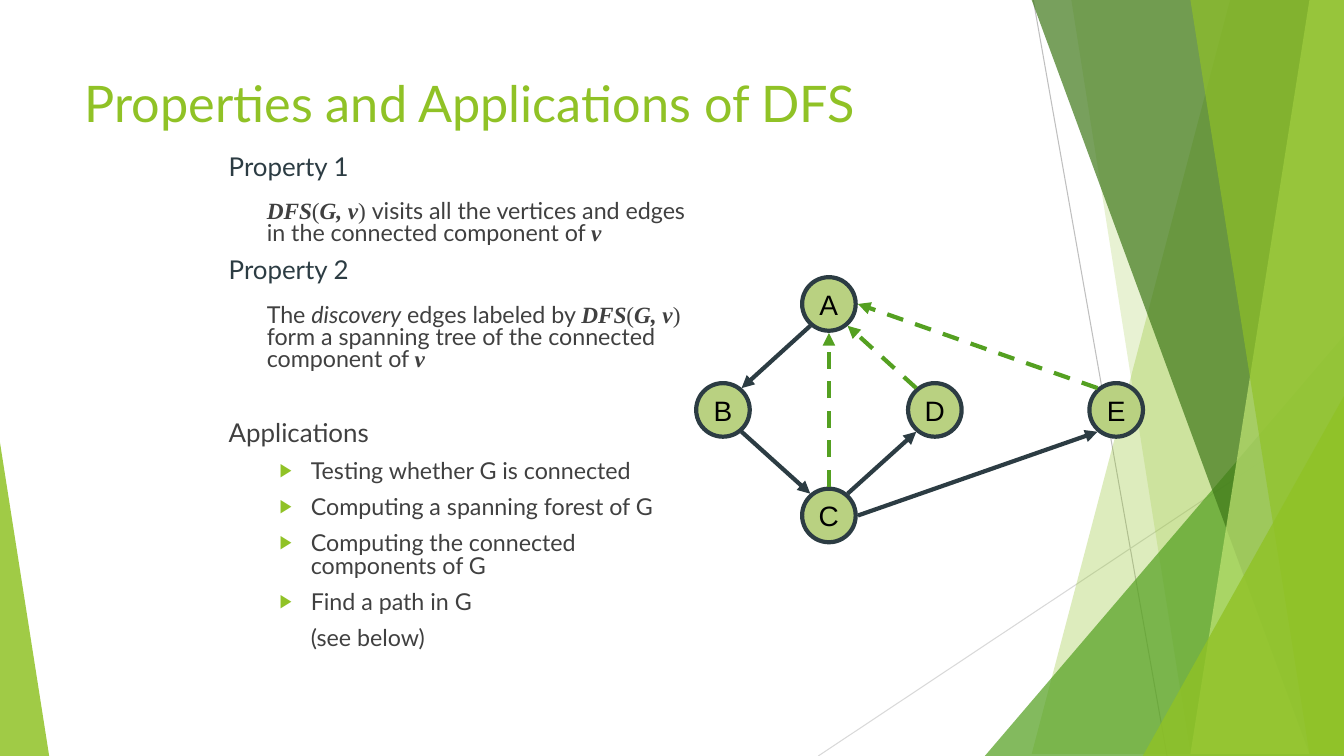
from dataclasses import dataclass

from lxml.etree import SubElement as Sub
from pptx import Presentation
from pptx.dml.color import RGBColor
from pptx.enum.dml import MSO_LINE_DASH_STYLE as Dash
from pptx.enum.shapes import MSO_CONNECTOR as Link, MSO_SHAPE as Form
from pptx.enum.text import MSO_ANCHOR as Anchor, MSO_AUTO_SIZE as Auto, PP_ALIGN as Align
from pptx.oxml.ns import qn
from pptx.util import Cm, Pt

WIDE, HIGH = 33.87, 19.05
LIME, GREEN, SLATE, GREY = "90C226", "54A021", "2C3C43", "404040"
NODE, REACH = 1.35, 0.73
SKEW = (0.47, 0.55)


@dataclass
class Facet:
    top: float
    foot: float
    tint: str
    alpha: int


@dataclass
class Wedge:
    left: float
    top: float
    width: float
    peak: int
    tint: str
    alpha: int


@dataclass
class Edge:
    start: str
    out: tuple[int, int]
    end: str
    into: tuple[int, int]
    back: bool = False


@dataclass
class Line:
    runs: list
    size: float = 16.6
    tint: str = GREY
    left: float = 0
    hang: float = 0
    before: float = 10
    mark: str = ""
    level: int = 0


DECOR = [
    Facet(31.19, 25.5, LIME, 30),
    Facet(26.67, 30.05, LIME, 20),
    Wedge(24.82, 8.46, WIDE - 24.82, 1, GREEN, 72),
    Facet(25.93, 32.79, "3F7819", 70),
    Facet(33.1, 30.28, "C0E474", 70),
    Facet(30.38, 33.48, LIME, 65),
    Wedge(28.8, 9.98, WIDE - 28.8, 1, LIME, 80),
    Wedge(0, 11.15, 1.24, 0, LIME, 85),
]

NODES = {"D": (23.56, 10.33), "B": (18.22, 10.33), "A": (20.89, 7.66),
         "C": (20.89, 12.99), "E": (28.13, 10.33)}
EDGES = [
    Edge("A", (-1, 1), "B", (1, -1)),
    Edge("B", (1, 1), "C", (-1, -1)),
    Edge("C", (1, -1), "D", (-1, 1)),
    Edge("D", (-1, -1), "A", (1, 1), True),
    Edge("C", (0, -1), "A", (0, 1), True),
    Edge("C", (1, 0), "E", (-1, 1)),
    Edge("E", (-1, -1), "A", (1, 0), True),
]

MATH = {"font": "Times New Roman", "bold": True, "italic": True}
PLAIN = {"font": "Times New Roman"}
CALL = [("DFS", MATH), ("(", PLAIN), ("G, v", MATH), (") ", PLAIN)]


def head(text: str, tint: str = SLATE, before: float = 10) -> Line:
    return Line([(text, {})], 18.5, tint, before=before)


def claim(runs: list) -> Line:
    return Line(runs, left=0.96, before=14.5)


def item(text: str, mark: str = "▶") -> Line:
    return Line([(text, {})], left=2.07, hang=-0.79 if mark else 0, mark=mark, level=1)


LINES = [
    head("Property 1", before=0),
    claim(CALL + [("visits all the vertices and edges in the connected component of ", {}),
                  ("v", MATH)]),
    head("Property 2"),
    claim([("The ", {}), ("discovery", {"italic": True}), (" edges labeled by ", {})] + CALL
          + [("form a spanning tree of the connected component of ", {}), ("v", MATH)]),
    head("Applications", GREY, 36),
    item("Testing whether G is connected"),
    item("Computing a spanning forest of G"),
    item("Computing the connected components of G"),
    item("Find a path in G"),
    item("(see below)", ""),
]


def hue(code: str) -> RGBColor:
    return RGBColor.from_string(code)


def write(para, text: str, font: str = "Lato", size: float = 18, tint: str = GREY,
          bold: bool = False, italic: bool = False) -> None:
    run = para.add_run()
    run.text = text
    face = run.font
    face.name, face.size, face.bold, face.italic = font, Pt(size), bold, italic
    face.color.rgb = hue(tint)


def place(shape, left: float, top: float, width: float, height: float) -> None:
    shape.left, shape.top, shape.width, shape.height = map(Cm, (left, top, width, height))
    frame = shape.text_frame
    frame.word_wrap, frame.auto_size = True, Auto.NONE
    frame.vertical_anchor = Anchor.TOP


def bullet(para, mark: str) -> None:
    props = para._p.get_or_add_pPr()
    if not mark:
        Sub(props, qn("a:buNone"))
        return
    Sub(Sub(props, qn("a:buClr")), qn("a:srgbClr"), val=LIME)
    Sub(props, qn("a:buSzPct"), val="80000")
    Sub(props, qn("a:buChar"), char=mark)


def fill(shape, tint: str, alpha: int = 100) -> None:
    shape.shadow.inherit = False
    shape.fill.solid()
    shape.fill.fore_color.rgb = hue(tint)
    if alpha < 100:
        color = next(shape._element.spPr.iter(qn("a:srgbClr")))
        Sub(color, qn("a:alpha"), val=str(alpha * 1000))


def adorn(shapes, part: Facet | Wedge) -> None:
    if isinstance(part, Facet):
        pen = shapes.build_freeform(part.top, 0, Cm(1))
        pen.add_line_segments([(WIDE, 0), (WIDE, HIGH), (part.foot, HIGH)])
        shape = pen.convert_to_shape()
    else:
        shape = shapes.add_shape(Form.ISOSCELES_TRIANGLE, Cm(part.left), Cm(part.top),
                                 Cm(part.width), Cm(HIGH - part.top))
        shape.adjustments[0] = part.peak
    fill(shape, part.tint, part.alpha)
    shape.line.fill.background()


def rule(shapes, start: tuple, end: tuple, tint: str, width: float,
         dash: bool = False, arrow: bool = False) -> None:
    link = shapes.add_connector(Link.STRAIGHT, *map(Cm, (*start, *end)))
    link.line.color.rgb = hue(tint)
    link.line.width = Pt(width)
    if dash:
        link.line.dash_style = Dash.DASH
    if arrow:
        Sub(link.line._get_or_add_ln(), qn("a:tailEnd"), type="triangle")
    Sub(link._element.spPr, qn("a:effectLst"))


def port(name: str, side: tuple[int, int]) -> tuple[float, float]:
    reach = SKEW if all(side) else (REACH, REACH)
    x, y = (mid + way * gap for mid, way, gap in zip(NODES[name], side, reach))
    return x, y


def node(shapes, name: str, x: float, y: float) -> None:
    disc = shapes.add_shape(Form.OVAL, Cm(x - NODE / 2), Cm(y - NODE / 2), Cm(NODE), Cm(NODE))
    fill(disc, "B9D181")
    disc.line.color.rgb = hue(SLATE)
    disc.line.width = Pt(3)
    frame = disc.text_frame
    frame.word_wrap, frame.vertical_anchor = False, Anchor.MIDDLE
    para = frame.paragraphs[0]
    para.alignment = Align.CENTER
    write(para, name, font="Arial", size=20, tint="000000")


def fill_body(frame, lines: list[Line]) -> None:
    for i, line in enumerate(lines):
        para = frame.add_paragraph() if i else frame.paragraphs[0]
        para.level = line.level
        bullet(para, line.mark)
        props = para._p.get_or_add_pPr()
        props.set("marL", str(Cm(line.left)))
        props.set("indent", str(Cm(line.hang)))
        para.line_spacing, para.space_before = 0.8, Pt(line.before)
        for text, style in line.runs:
            write(para, text, size=line.size, tint=line.tint, **style)


def main() -> None:
    deck = Presentation()
    deck.slide_width, deck.slide_height = Cm(WIDE), Cm(HIGH)
    slide = deck.slides.add_slide(deck.slide_layouts[1])
    shapes = slide.shapes
    title, body = shapes.title, slide.placeholders[1]
    rule(shapes, (26.04, 0), (29.41, HIGH), "BFBFBF", 0.75)
    rule(shapes, (WIDE, 10.24), (20.62, HIGH), "D9D9D9", 0.75)
    for part in DECOR:
        adorn(shapes, part)
    place(title, 1.88, 1.7, 23.88, 3.66)
    para = title.text_frame.paragraphs[0]
    para.alignment = Align.LEFT
    write(para, "Properties and Applications of DFS", size=36, tint=LIME)
    place(body, 5.51, 3.81, 12.07, 13.54)
    fill_body(body.text_frame, LINES)
    for name, spot in NODES.items():
        node(shapes, name, *spot)
    for edge in EDGES:
        rule(shapes, port(edge.start, edge.out), port(edge.end, edge.into),
             GREEN if edge.back else SLATE, 3, dash=edge.back, arrow=True)
    deck.save("out.pptx")


if __name__ == "__main__":
    main()
